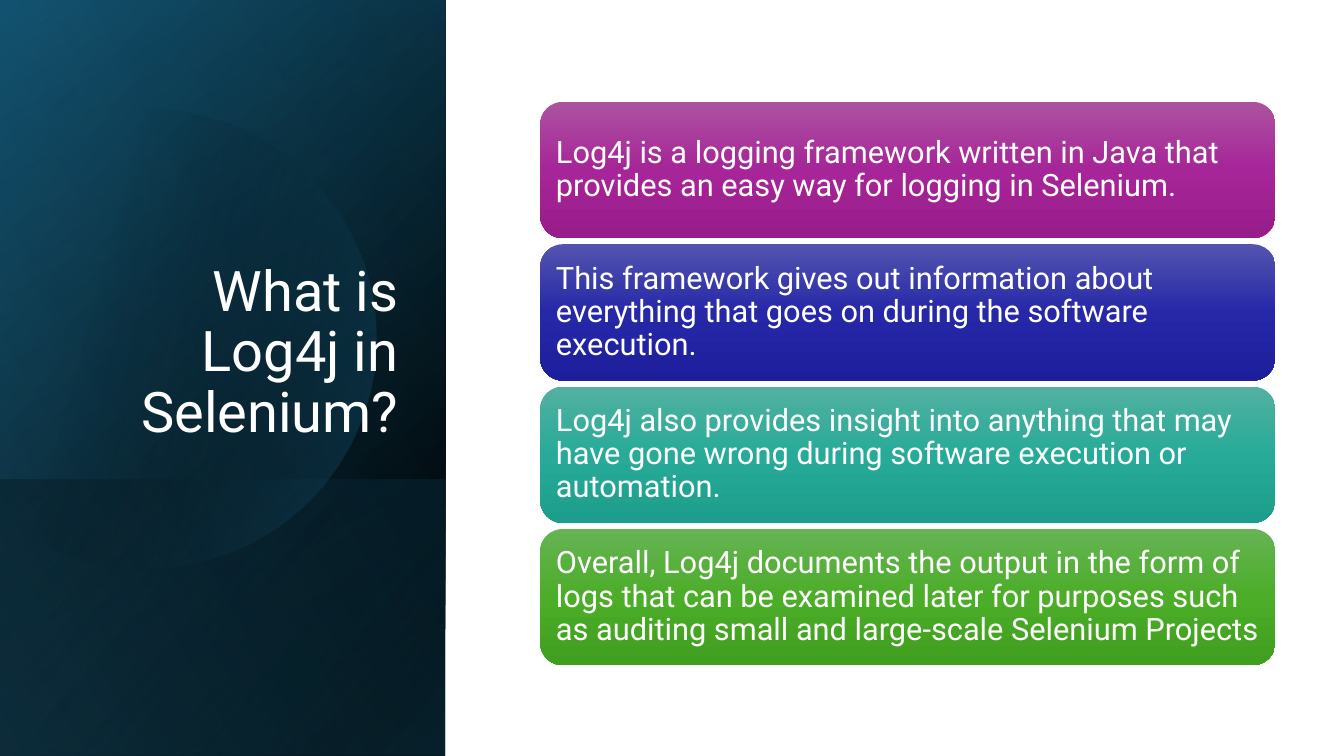
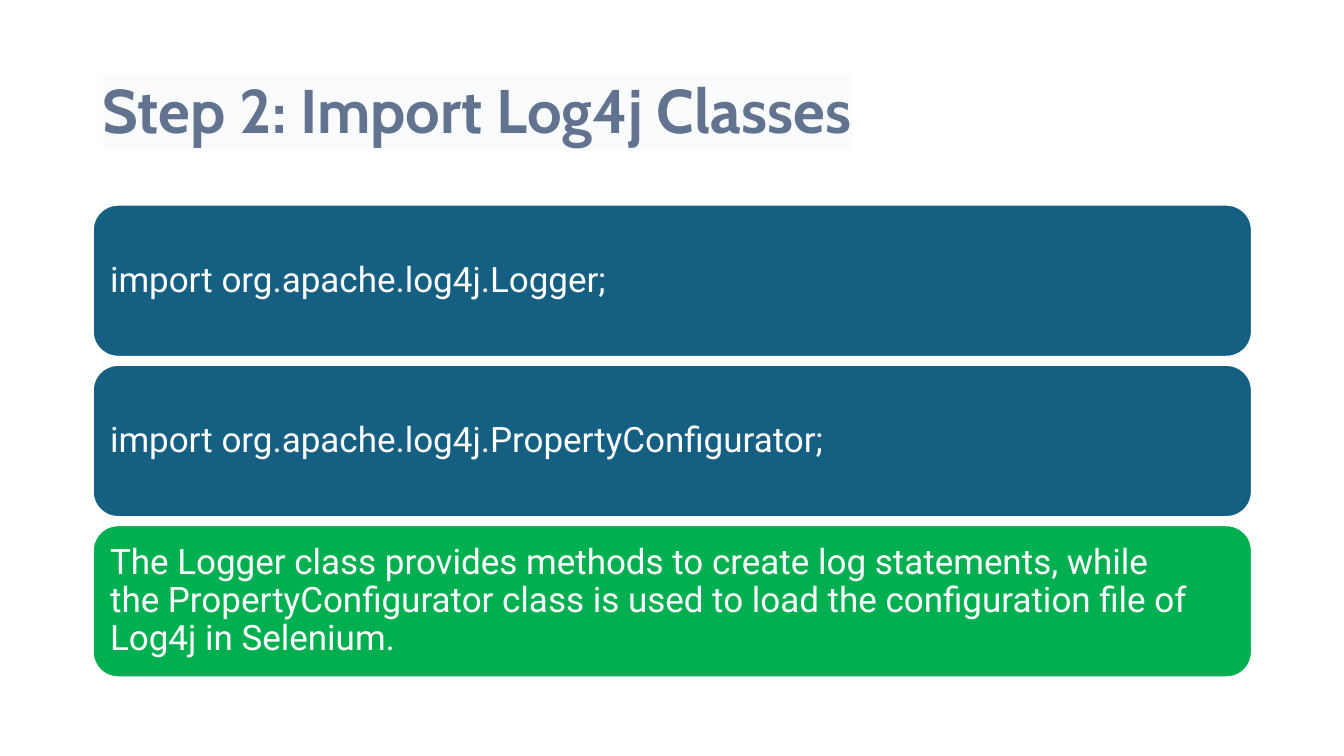
from math import acos, cos, sin

from lxml.etree import SubElement
from pptx import Presentation
from pptx.dml.color import RGBColor
from pptx.enum.shapes import MSO_SHAPE as Shape
from pptx.enum.text import MSO_ANCHOR as Anchor, PP_ALIGN as Align
from pptx.oxml.ns import qn
from pptx.util import Inches, Pt

SLIDE_WIDTH, SLIDE_HEIGHT = Inches(13.33), Inches(7.5)
BODY_FONT, HEADING_FONT = "Roboto", "Cabin"
NBSP = chr(160)  # keeps class names with their neighbours on one line

COLORS = {
    "white": "FFFFFF", "black": "000000", "navy": "104862", "blue": "156082",
    "sky": "46B1E1", "green": "00B050", "slate": "61738E", "mist": "FAFBFC",
}

# Top, middle and bottom colour of each card
CARD_SHADES = [
    ("AC53A0", "A62598", "991C8B"),
    ("5354AE", "2628A8", "1D1E9B"),
    ("53B0A1", "27AB98", "1D9D8B"),
    ("66B354", "4BAD28", "409F1E"),
]
FACTS = [
    "Log4j is a logging framework written in Java that provides an easy way "
    "for logging in Selenium.",
    "This framework gives out information about everything that goes on "
    "during the software execution.",
    "Log4j also provides insight into anything that may have gone wrong "
    "during software execution or automation.",
    "Overall, Log4j documents the output in the form of logs that can be "
    "examined later for purposes such as auditing small and large-scale "
    "Selenium Projects",
]
LOGGER_CLASS = NBSP.join(["The", "Logger", "class"])
CONFIGURATOR_CLASS = NBSP.join(["the", "PropertyConfigurator", "class"])
IMPORT_STEPS = [
    ("import org.apache.log4j.Logger;", "blue"),
    ("import org.apache.log4j.PropertyConfigurator;", "blue"),
    (f"{LOGGER_CLASS} provides methods to create log statements, while "
     f"{CONFIGURATOR_CLASS} is used to load the configuration file of "
     "Log4j in Selenium.", "green"),
]


# Lengths as percentages of the slide
def across(percent):
    return round(SLIDE_WIDTH * percent / 100)


def down(percent):
    return round(SLIDE_HEIGHT * percent / 100)


def area(left, top, width, height):
    return across(left), down(top), across(width), down(height)


# Fills
def color(name):
    return RGBColor.from_string(COLORS[name])


def fill_gradient(shape, stops, angle):
    """Stops are (position %, hex, opacity %); the angle runs clockwise."""
    shape.fill.gradient()
    shape.fill.gradient_angle = (360 - angle) % 360
    stop_list = shape.element.spPr.find(qn("a:gradFill")).find(qn("a:gsLst"))
    for default_stop in list(stop_list):
        stop_list.remove(default_stop)
    for position, hex_color, opacity in stops:
        stop = SubElement(stop_list, qn("a:gs"), pos=str(position * 1000))
        tint = SubElement(stop, qn("a:srgbClr"), val=hex_color)
        if opacity < 100:
            SubElement(tint, qn("a:alpha"), val=str(opacity * 1000))


def add_plain(slide, kind, box):
    shape = slide.shapes.add_shape(kind, *box)
    shape.shadow.inherit = False
    shape.line.fill.background()
    return shape


# Text
def write(shape, text, size, ink="white", font=BODY_FONT, bold=False,
          align=Align.LEFT, anchor=Anchor.MIDDLE):
    frame = shape.text_frame
    frame.word_wrap = True
    frame.vertical_anchor = anchor
    paragraph = frame.paragraphs[0]
    paragraph.text = text
    paragraph.alignment = align
    paragraph.line_spacing = 0.9
    paragraph.font.size = Pt(size)
    paragraph.font.name = font
    paragraph.font.bold = bold
    paragraph.font.color.rgb = color(ink)
    return paragraph


def add_title(slide, box, text, size, **style):
    return write(slide.shapes.add_textbox(*box), text, size, **style)


def highlight(paragraph, name):
    properties = paragraph.runs[0].font._element
    marker = SubElement(properties, qn("a:highlight"))
    SubElement(marker, qn("a:srgbClr"), val=COLORS[name])


# Rounded cards stacked with equal gaps
def add_cards(slide, box, gap, texts, size, inset):
    left, top, width, total = box
    height = (total - gap * (len(texts) - 1)) / len(texts)
    cards = []
    for row, text in enumerate(texts):
        place = left, round(top + row * (height + gap)), width, round(height)
        card = add_plain(slide, Shape.ROUNDED_RECTANGLE, place)
        frame = card.text_frame
        frame.margin_left = frame.margin_right = Inches(inset)
        frame.margin_top = frame.margin_bottom = Inches(inset)
        write(card, text, size)
        cards.append(card)
    return cards


# Dark side panel
def add_disc(slide):
    """A disc cut off by the left edge of the slide."""
    center_x, center_y, radius = across(10.88), down(44.8), across(17.1)
    limit, steps = acos(-center_x / radius), 90
    points = []
    for step in range(steps + 1):
        turn = limit * (2 * step / steps - 1)
        points.append((round(center_x + radius * cos(turn)),
                       round(center_y + radius * sin(turn))))
    builder = slide.shapes.build_freeform(*points[0])
    builder.add_line_segments(points[1:], close=True)
    disc = builder.convert_to_shape()
    disc.shadow.inherit = False
    disc.line.fill.background()
    return disc


def add_panel(slide):
    black, blue = COLORS["black"], COLORS["blue"]
    full, band = area(0, 0, 33.15, 100), area(0, 63.47, 33.15, 36.53)

    def layer(box, stops, angle):
        fill_gradient(add_plain(slide, Shape.RECTANGLE, box), stops, angle)

    layer(full, [(8, black, 100), (100, COLORS["navy"], 100)], 220)
    layer(full, [(0, black, 0), (99, blue, 46)], 240)
    layer(band, [(2, blue, 29), (100, black, 30)], 220)
    fill_gradient(add_disc(slide), [(29, black, 0), (100, blue, 43)], 15)
    layer(full, [(0, black, 0), (99, COLORS["sky"], 11)], 150)


# Slides
def build_overview(slide):
    add_panel(slide)
    add_title(slide, area(4.8, 24.53, 25.58, 34.93),
              "What is Log4j in Selenium?", 40,
              align=Align.RIGHT, anchor=Anchor.BOTTOM)
    cards = add_cards(slide, area(40.2, 13.47, 54.7, 74.53), down(0.8),
                      FACTS, 22, 0.09)
    for card, shades in zip(cards, CARD_SHADES):
        stops = [(50 * i, shade, 100) for i, shade in enumerate(shades)]
        fill_gradient(card, stops, 90)


def build_import_step(slide):
    heading = add_title(slide, area(6.9, 5.33, 86.25, 19.33),
                        "Step 2: Import Log4j Classes", 44,
                        ink="slate", font=HEADING_FONT, bold=True)
    highlight(heading, "mist")
    texts = [text for text, _ in IMPORT_STEPS]
    cards = add_cards(slide, area(6.9, 27.07, 86.25, 62.53), down(1.07),
                      texts, 25, 0.1)
    for card, (_, shade) in zip(cards, IMPORT_STEPS):
        card.fill.solid()
        card.fill.fore_color.rgb = color(shade)
        card.line.color.rgb = color("white")
        card.line.width = Pt(1.5)


def main():
    deck = Presentation()
    deck.slide_width, deck.slide_height = SLIDE_WIDTH, SLIDE_HEIGHT
    blank = deck.slide_layouts[6]
    for build in (build_overview, build_import_step):
        build(deck.slides.add_slide(blank))
    deck.save("out.pptx")


if __name__ == "__main__":
    main()
